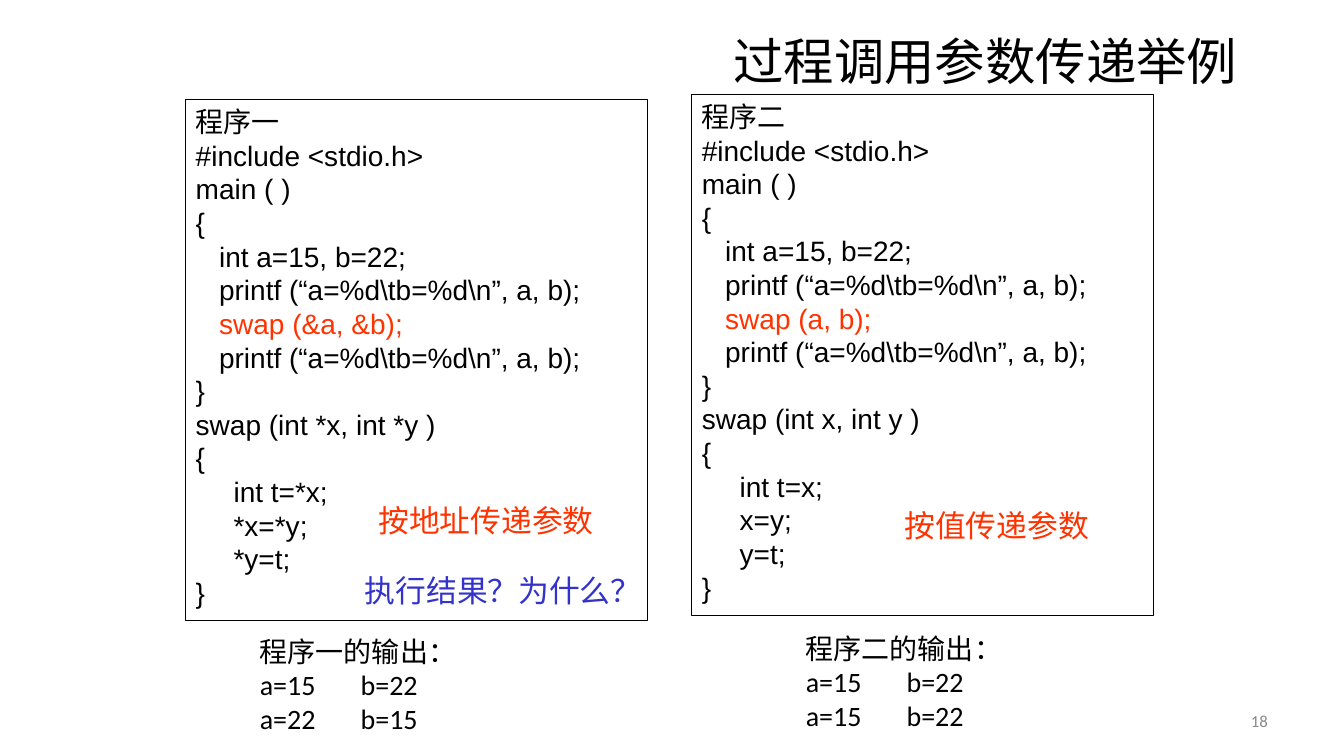
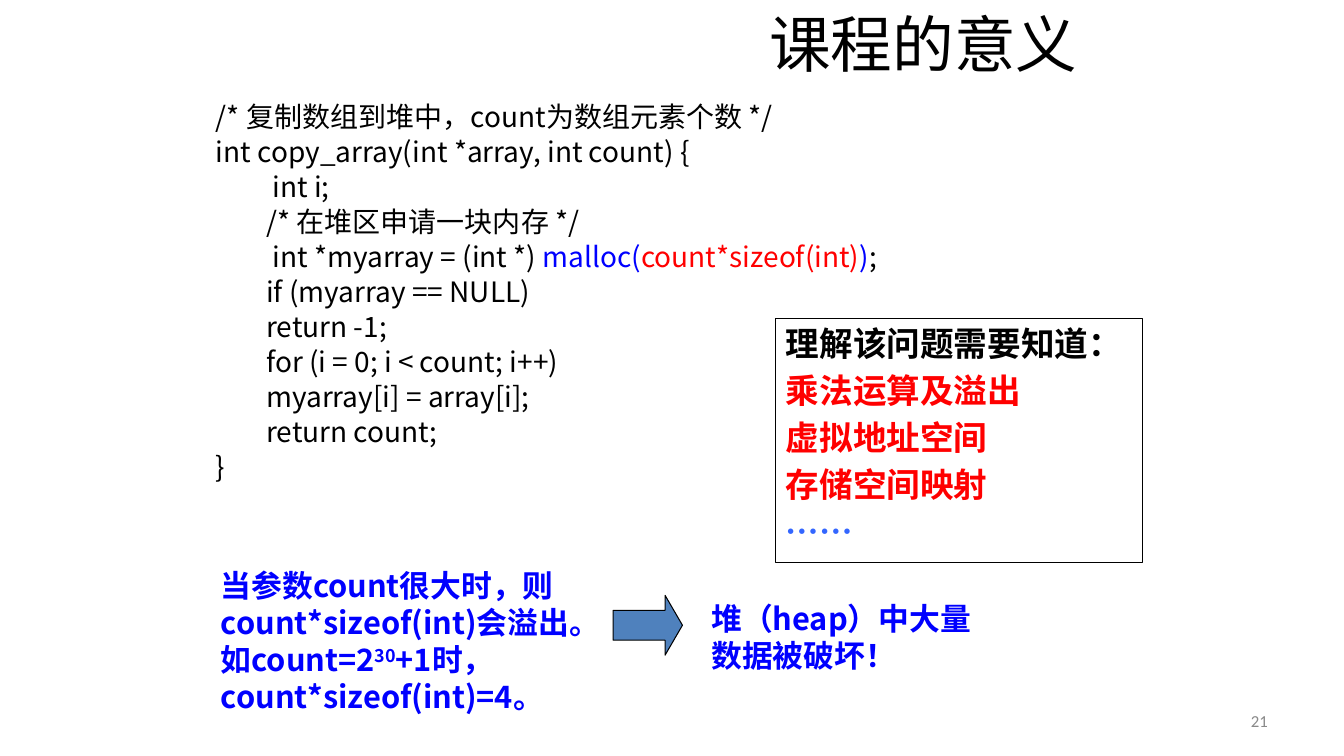
from dataclasses import dataclass

from lxml.etree import SubElement
from pptx import Presentation
from pptx.dml.color import RGBColor
from pptx.enum.shapes import MSO_SHAPE
from pptx.enum.text import MSO_ANCHOR, MSO_AUTO_SIZE, PP_ALIGN
from pptx.oxml.ns import qn
from pptx.util import Pt

PX = 9525
BLACK = RGBColor(0x00, 0x00, 0x00)
GREY = RGBColor(0x89, 0x89, 0x89)
ORANGE = RGBColor(0xFF, 0x33, 0x00)
INDIGO = RGBColor(0x33, 0x33, 0xCC)
BLUE = RGBColor(0x00, 0x00, 0xFF)
RED = RGBColor(0xFF, 0x00, 0x00)
SKY = RGBColor(0x33, 0x66, 0xFF)
STEEL = RGBColor(0x4F, 0x81, 0xBD)
SANS, CODE, HAN = "Calibri", "Arial", "Noto Sans CJK SC"


@dataclass
class Style:
    size: int = 20
    font: str = SANS
    color: RGBColor = BLACK
    bold: bool = False
    align: PP_ALIGN = PP_ALIGN.LEFT
    anchor: MSO_ANCHOR = MSO_ANCHOR.TOP
    hang: int = 0
    before: float = 0


TITLE = Style(align=PP_ALIGN.CENTER, anchor=MSO_ANCHOR.MIDDLE)
NUMBER = Style(12, color=GREY, align=PP_ALIGN.RIGHT, anchor=MSO_ANCHOR.MIDDLE)
LIST = Style(font=CODE, align=PP_ALIGN.JUSTIFY, hang=36)
OUTPUT = Style(align=PP_ALIGN.JUSTIFY)
BODY = Style(font=HAN, hang=48, before=1)
CLAIM = Style(22, HAN, BLUE, True, anchor=MSO_ANCHOR.MIDDLE)
TOPICS = Style(24, bold=True, before=4.8)


def px(*nums):
    return [n * PX for n in nums]


def add_run(para, text, style, color=None, font=None, raised=False):
    run = para.add_run()
    run.text = text
    run.font.size = Pt(style.size)
    run.font.bold = style.bold
    run.font.name = font or style.font
    run.font.color.rgb = color or style.color
    props = run.font._element
    SubElement(props, qn("a:ea"), typeface=HAN)
    if raised:
        props.set("baseline", "30000")


def write(shape, lines, style):
    """Each line is a string or a list of (text, color, font, raised) runs."""
    frame = shape.text_frame
    frame.word_wrap = True
    frame.auto_size = MSO_AUTO_SIZE.NONE
    frame.vertical_anchor = style.anchor
    for i, line in enumerate(lines):
        para = frame.add_paragraph() if i else frame.paragraphs[0]
        props = para._p.get_or_add_pPr()
        props.set("marL", str(style.hang * PX))
        props.set("indent", str(-style.hang * PX))
        SubElement(props, qn("a:buNone"))
        para.alignment = style.align
        para.line_spacing = Pt(style.size * 1.2)
        para.space_before = Pt(style.before if i else 0)
        for run in [(line,)] if isinstance(line, str) else line:
            add_run(para, run[0], style, *run[1:])


def add_text(slide, area, lines, style):
    box = slide.shapes.add_textbox(*px(*area))
    write(box, lines, style)
    return box


def add_shape(slide, kind, area, fill=None):
    shape = slide.shapes.add_shape(kind, *px(*area))
    shape.shadow.inherit = False
    if fill:
        shape.fill.solid()
        shape.fill.fore_color.rgb = fill
    else:
        shape.fill.background()
    shape.line.color.rgb = BLACK
    shape.line.width = Pt(0.75)
    return shape


def add_frame(slide, area, lines, style):
    write(add_shape(slide, MSO_SHAPE.RECTANGLE, area), lines, style)


def place(shape, area):
    shape.left, shape.top, shape.width, shape.height = px(*area)


def add_slide(deck, layout, title, area, size, number):
    slide = deck.slides.add_slide(deck.slide_layouts[layout])
    head = slide.shapes.title
    place(head, area)
    write(head, [[(title,)]], Style(size, align=TITLE.align, anchor=TITLE.anchor))
    add_text(slide, (918, 667, 299, 38), [number], NUMBER)
    return slide


def add_label(slide, area, text, color):
    add_text(slide, area, [text], Style(22, color=color))


def add_output(slide, area, lines):
    frame = add_text(slide, area, lines, OUTPUT).text_frame
    frame.margin_top = frame.margin_bottom = 0


def listing(name, call, params, body):
    show = r"   printf (“a=%d\tb=%d\n”, a, b);"
    return [
        name, "#include <stdio.h>", "main ( )", "{", "   int a=15, b=22;",
        show, [("   ",), (call, ORANGE)], show, "}",
        f"swap ({params} )", "{", *("\t" + step for step in body), "}",
    ]


def add_params(deck):
    slide = add_slide(deck, 5, "过程调用参数传递举例", (662, 28, 553, 59), 36, "18")
    add_output(slide, (238, 604, 246, 92),
               ["程序一的输出：", "a=15\tb=22", "a=22\tb=15"])
    add_output(slide, (758, 601, 232, 94),
               ["程序二的输出：", "a=15\tb=22", "a=15\tb=22"])
    add_frame(slide, (177, 95, 440, 496), listing(
        "程序一", "swap (&a, &b);", "int *x, int *y",
        ["int t=*x;", "*x=*y;", "*y=t;"]), LIST)
    add_frame(slide, (659, 90, 440, 496), listing(
        "程序二", "swap (a, b);", "int x, int y",
        ["int t=x;", "x=y;", "y=t;"]), LIST)
    add_label(slide, (351, 473, 240, 45), "按地址传递参数", ORANGE)
    add_label(slide, (852, 478, 210, 45), "按值传递参数", ORANGE)
    add_label(slide, (338, 540, 290, 45), "执行结果？为什么？", INDIGO)


def add_meaning(deck):
    slide = add_slide(deck, 1, "课程的意义", (687, 11, 385, 59), 44, "21")
    body = slide.placeholders[1]
    place(body, (196, 90, 864, 470))
    write(body, [
        "/* 复制数组到堆中，count为数组元素个数 */",
        "int copy_array(int *array, int count) {",
        "\t int i;",
        "\t/* 在堆区申请一块内存 */",
        [("\t int *myarray = (int *) ",), ("malloc(", BLUE),
         ("count*sizeof(int)", RED), (")", BLUE), (";",)],
        "\tif (myarray == NULL)",
        "\treturn -1;",
        "\tfor (i = 0; i < count; i++)",
        "\tmyarray[i] = array[i];",
        "\treturn count;",
        "}",
    ], BODY)
    add_text(slide, (201, 534, 393, 152), [[
        ("当参数count很大时，则count*sizeof(int)会溢出。如count=2",),
        ("30", BLUE, HAN, True),
        ("+1时， count*sizeof(int)=4。",)]], CLAIM)
    arrow = add_shape(slide, MSO_SHAPE.RIGHT_ARROW, (584, 567, 66, 57), STEEL)
    arrow.adjustments[1] = 0.29
    add_text(slide, (668, 566, 278, 80), ["堆（heap）中大量数据被破坏！"], CLAIM)
    add_frame(slide, (739, 303, 349, 233), [
        "理解该问题需要知道：",
        *([(topic, RED)] for topic in
          ("乘法运算及溢出", "虚拟地址空间", "存储空间映射")),
        [("……", SKY, HAN)],
    ], TOPICS)


def main():
    deck = Presentation()
    deck.slide_width, deck.slide_height = px(1280, 720)
    add_params(deck)
    add_meaning(deck)
    deck.save("out.pptx")


if __name__ == "__main__":
    main()
